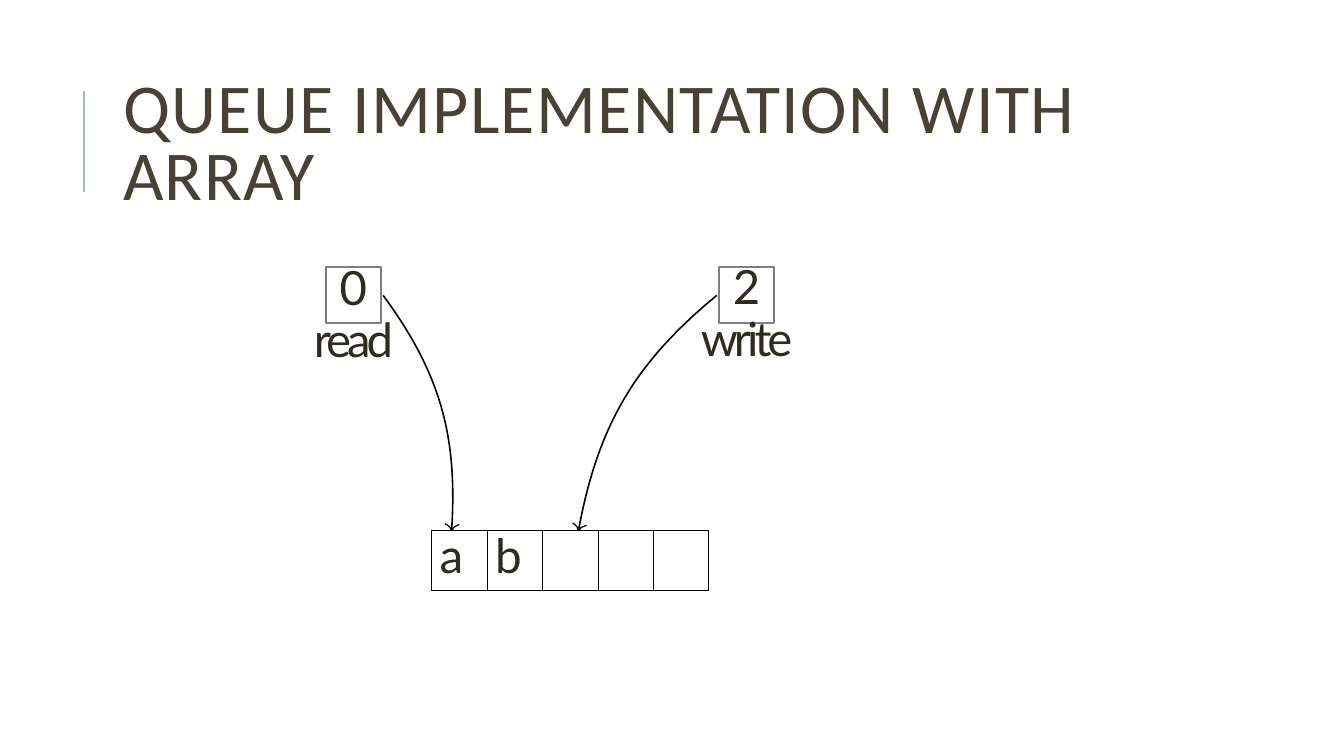
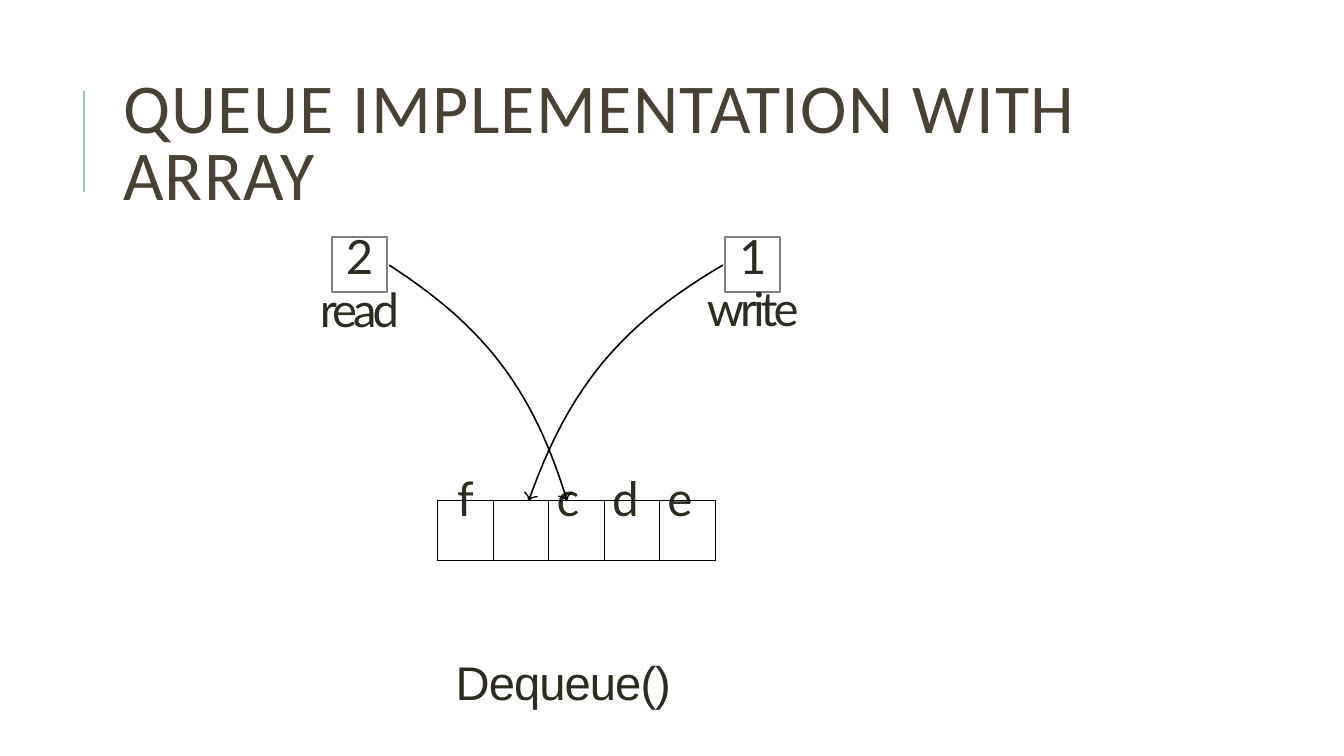
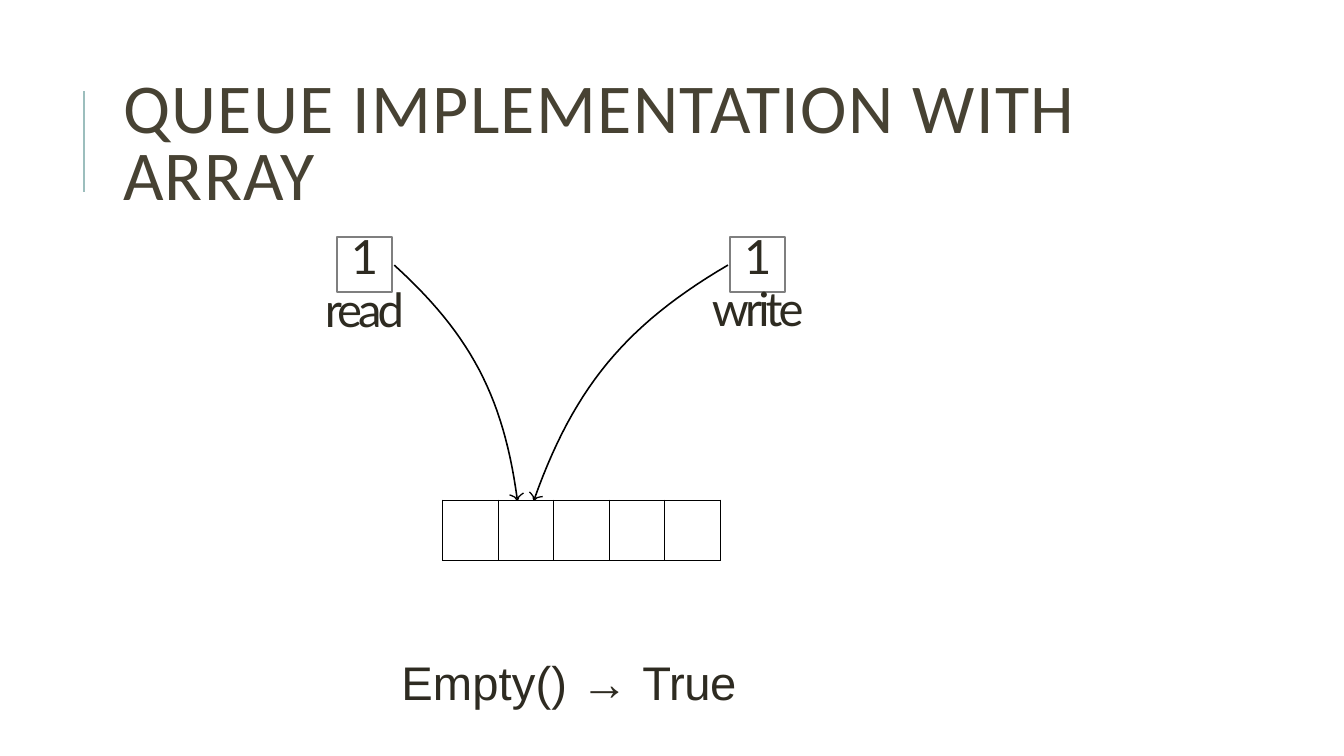
from math import atan2, cos, hypot, radians, sin

from lxml.etree import SubElement
from pptx import Presentation
from pptx.dml.color import RGBColor
from pptx.enum.shapes import MSO_CONNECTOR, MSO_SHAPE
from pptx.enum.text import MSO_ANCHOR, MSO_AUTO_SIZE, PP_ALIGN
from pptx.oxml.ns import qn
from pptx.util import Inches, Pt

TITLE_BROWN = RGBColor(0x47, 0x42, 0x33)
TEXT_BROWN = RGBColor(0x2E, 0x2B, 0x21)
ACCENT_TEAL = RGBColor(0x9C, 0xBE, 0xBD)
BOX_GRAY = RGBColor(0x7F, 0x7F, 0x7F)
BLACK = RGBColor(0, 0, 0)

TITLE = "QUEUE IMPLEMENTATION WITH ARRAY"
CELL, ROW = 0.55, 0.6
BEND, LOOSENESS = radians(20), 0.39
CURVE_STEPS = 28
HEAD = [(-0.05, 0.07), (-0.04, 0.05), (-0.02, 0.02), (0, 0.01), (0.01, 0)]
NO_MARGINS = {"margin_left": 0, "margin_top": 0, "margin_right": 0, "margin_bottom": 0}


def assign(target, values):
    for name, value in values.items():
        setattr(target, name, value)


class QueueDeck:
    """Draws array-based queue slides in one shared style."""

    def __init__(self):
        self.deck = Presentation()
        assign(self.deck, {"slide_width": Inches(13.33), "slide_height": Inches(7.5)})
        self.page = None

    def add_page(self):
        self.page = self.deck.slides.add_slide(self.deck.slide_layouts[5])
        rule = self.page.shapes.add_connector(
            MSO_CONNECTOR.STRAIGHT, Inches(0.83), Inches(1.9), Inches(0.83), Inches(0.9))
        SubElement(rule._element.spPr, qn("a:effectLst"))
        self.outline(rule, ACCENT_TEAL, 1.5)
        title = self.page.shapes.title
        assign(title, {"left": Inches(1.12), "top": Inches(0.64),
                       "width": Inches(10.63), "height": Inches(1.64)})
        assign(title.text_frame, {"vertical_anchor": MSO_ANCHOR.MIDDLE, "word_wrap": True,
                                  "auto_size": MSO_AUTO_SIZE.NONE})
        para = title.text_frame.paragraphs[0]
        assign(para, {"alignment": PP_ALIGN.LEFT, "line_spacing": 0.8})
        self.span(para, TITLE, 50, "Calibri", 1, color=TITLE_BROWN)

    def outline(self, shape, color, width):
        shape.line.color.rgb = color
        shape.line.width = Pt(width)

    def span(self, para, text, size, font, spacing=0, color=TEXT_BROWN, italic=False):
        span = para.add_run()
        span.text = text
        assign(span.font, {"name": font, "size": Pt(size), "italic": italic})
        span.font.color.rgb = color
        span._r.get_or_add_rPr().set("spc", str(round(spacing * 100)))

    def text_frame(self, left, top, width, height):
        box = self.page.shapes.add_textbox(
            Inches(left), Inches(top), Inches(width), Inches(height))
        assign(box.text_frame, {**NO_MARGINS, "word_wrap": True})
        return box.text_frame

    def pointer(self, left, top, value, name, label_width, leading):
        box = self.page.shapes.add_shape(
            MSO_SHAPE.RECTANGLE, Inches(left), Inches(top), Inches(CELL), Inches(CELL))
        box.shadow.inherit = False
        box.fill.background()
        self.outline(box, BOX_GRAY, 1.42)
        frame = self.text_frame(left + (CELL - label_width) / 2, top - 0.08, label_width, 1.1)
        frame.margin_top = Inches(0.03)
        paras = frame.paragraphs[0], frame.add_paragraph()
        for para, text, spacing in zip(paras, (value, name), (-1.7, -2.8)):
            assign(para, {"alignment": PP_ALIGN.CENTER, "line_spacing": Pt(leading)})
            self.span(para, text, 33.7, "Lato", spacing)

    def array(self, left, top, letters, drop, centred):
        table = self.page.shapes.add_table(
            1, len(letters), Inches(left), Inches(top),
            Inches(CELL * len(letters)), Inches(ROW)).table
        assign(table, {"first_row": False, "horz_banding": False})
        for column, letter in enumerate(letters):
            table.columns[column].width = Inches(CELL)
            cell = table.cell(0, column)
            self.border(cell)
            cell.fill.background()
            if not letter.strip():
                continue
            middle = letter in centred
            assign(cell, {**NO_MARGINS, "margin_top": Inches(drop),
                          "margin_left": Inches(0 if middle else 0.08)})
            para = cell.text_frame.paragraphs[0]
            assign(para, {"alignment": PP_ALIGN.CENTER if middle else PP_ALIGN.LEFT,
                          "line_spacing": Pt(18.8)})
            self.span(para, letter, 34, "Lato")

    def border(self, cell):
        properties = cell._tc.get_or_add_tcPr()
        for side in ("lnL", "lnR", "lnT", "lnB"):
            line = SubElement(properties, qn("a:" + side), w=str(Pt(0.5)))
            fill = SubElement(line, qn("a:solidFill"))
            SubElement(fill, qn("a:srgbClr"), val=str(BLACK))

    def stroke(self, points, width):
        points = [(Inches(x), Inches(y)) for x, y in points]
        builder = self.page.shapes.build_freeform(*points[0])
        builder.add_line_segments(points[1:], close=False)
        shape = builder.convert_to_shape()
        shape.shadow.inherit = False
        shape.fill.background()
        self.outline(shape, BLACK, width)

    def curved_arrow(self, start, end, turn):
        across, down = end[0] - start[0], end[1] - start[1]
        heading, reach = atan2(down, across), LOOSENESS * hypot(across, down)
        leave, arrive = heading - turn * BEND, heading + turn * BEND
        knots = (start,
                 (start[0] + reach * cos(leave), start[1] + reach * sin(leave)),
                 (end[0] - reach * cos(arrive), end[1] - reach * sin(arrive)),
                 end)
        curve = []
        for step in range(CURVE_STEPS + 1):
            t = step / CURVE_STEPS
            weights = ((1 - t) ** 3, 3 * t * (1 - t) ** 2, 3 * t * t * (1 - t), t ** 3)
            curve.append(tuple(sum(weight * knot[axis] for weight, knot in zip(weights, knots))
                               for axis in (0, 1)))
        self.stroke(curve, 1.13)
        chevron = HEAD + [(along, -aside) for along, aside in reversed(HEAD[:-1])]
        self.stroke([(end[0] + along * cos(arrive) - aside * sin(arrive),
                      end[1] + along * sin(arrive) + aside * cos(arrive))
                     for along, aside in chevron], 0.91)

    def queue(self, left, top, read, write, targets, letters, drop=0, centred=""):
        self.pointer(left, top, read, "read", 0.85, 37.6)
        self.pointer(left + 3.9, top, write, "write", 0.98, 37.1)
        self.array(left + 1.05, top + 2.61, letters, drop, centred)
        for start, target, turn in zip((0.57, 3.88), targets, (1, -1)):
            self.curved_arrow((left + start, top + 0.28), (target, top + 2.6), turn)

    def caption(self, left, width, spans):
        frame = self.text_frame(left, 6.53, width, 0.52)
        frame.margin_left = Inches(0.03)
        para = frame.paragraphs[0]
        para.line_spacing = Pt(37.1)
        for text, spacing, italic in spans:
            self.span(para, text, 33.7, "Arial", spacing, italic=italic)


def main():
    slides = QueueDeck()

    slides.add_page()
    slides.queue(3.23, 2.65, "0", "2", (4.48, 5.74), "ab   ", drop=0.27)

    slides.add_page()
    slides.queue(3.29, 2.35, "2", "1", (5.62, 5.25), "f cde", centred="f")
    slides.caption(4.49, 2.19, [("Dequeue()", -0.7, False)])

    slides.add_page()
    slides.queue(3.34, 2.35, "1", "1", (5.13, 5.3), "     ")
    slides.caption(3.95, 3.62, [("Empty() ", 0.1, False), ("→ ", 0.4, True),
                                ("True", -0.3, False)])

    slides.deck.save("out.pptx")


if __name__ == "__main__":
    main()
